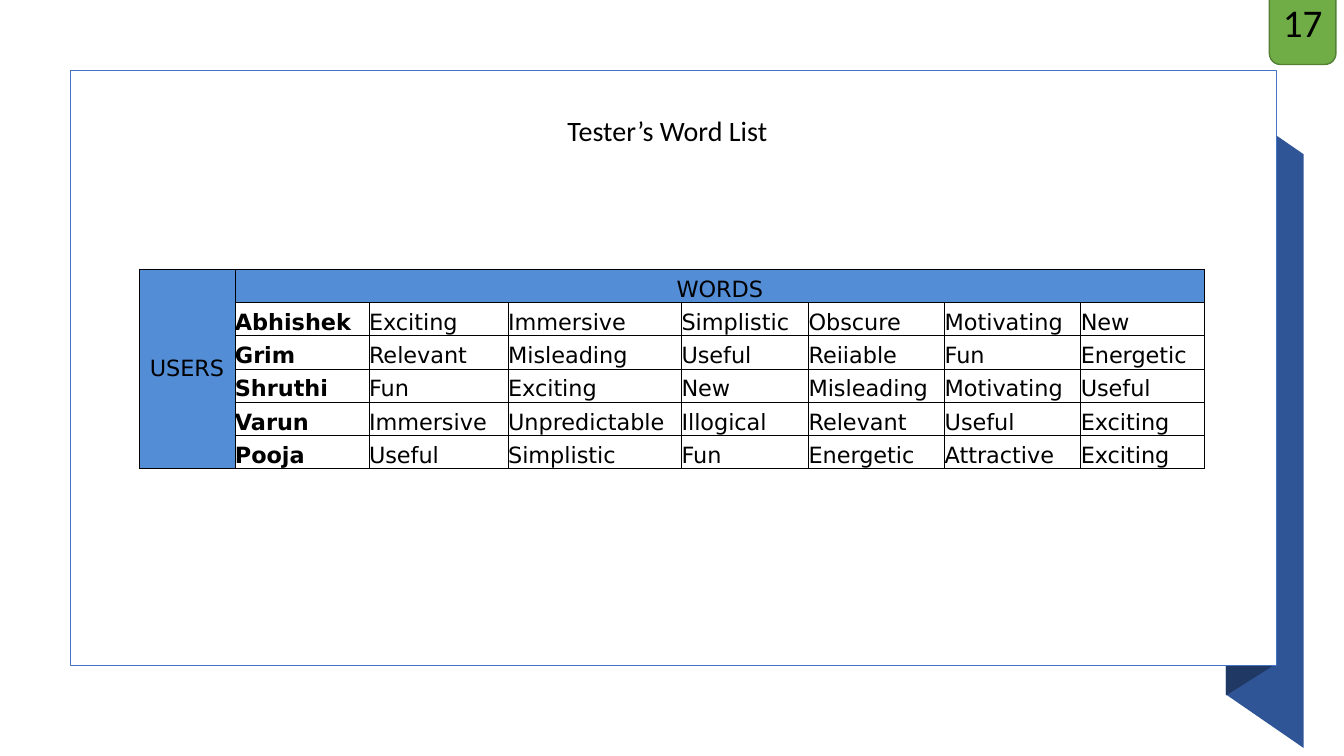
from lxml import etree
from pptx import Presentation
from pptx.dml.color import RGBColor
from pptx.enum.shapes import MSO_SHAPE
from pptx.enum.text import MSO_ANCHOR, PP_ALIGN
from pptx.oxml.ns import qn
from pptx.util import Emu, Pt

RECTANGLE = MSO_SHAPE.RECTANGLE
ROUNDED = MSO_SHAPE.ROUNDED_RECTANGLE
MIDDLE, BOTTOM = MSO_ANCHOR.MIDDLE, MSO_ANCHOR.BOTTOM
LEFT, CENTER = PP_ALIGN.LEFT, PP_ALIGN.CENTER

BLACK = RGBColor(0x00, 0x00, 0x00)
WHITE = RGBColor(0xFF, 0xFF, 0xFF)
RIBBON_BLUE = RGBColor(0x2F, 0x55, 0x97)
FOLD_NAVY = RGBColor(0x20, 0x38, 0x64)
FRAME_BLUE = RGBColor(0x44, 0x72, 0xC4)
HEADER_BLUE = RGBColor(0x53, 0x8D, 0xD5)
BADGE_GREEN = RGBColor(0x70, 0xAD, 0x47)
BADGE_EDGE = RGBColor(0x53, 0x80, 0x35)

PX = 9144  # 100 px to the inch
COLUMN_WIDTHS = [95, 133, 138, 172, 126, 135, 135, 123]
ROW_HEIGHT = 33
TESTERS = [
    ["Abhishek", "Exciting", "Immersive", "Simplistic", "Obscure", "Motivating", "New"],
    ["Grim", "Relevant", "Misleading", "Useful", "Reiiable", "Fun", "Energetic"],
    ["Shruthi", "Fun", "Exciting", "New", "Misleading", "Motivating", "Useful"],
    ["Varun", "Immersive", "Unpredictable", "Illogical", "Relevant", "Useful", "Exciting"],
    ["Pooja", "Useful", "Simplistic", "Fun", "Energetic", "Attractive", "Exciting"],
]


def px(*lengths):
    return [Emu(length * PX) for length in lengths]


class WordListPage:
    body_font = "Calibri"
    table_font = "DejaVu Sans"
    table_size = 16

    def __init__(self, deck):
        self.page = deck.slides.add_slide(deck.slide_layouts[6])
        self.shapes = self.page.shapes

    def paint(self, shape, fill, line=None):
        shape.shadow.inherit = False
        shape.fill.solid()
        shape.fill.fore_color.rgb = fill
        if line is None:
            shape.line.fill.background()
        else:
            shape.line.color.rgb = line
            shape.line.width = Pt(1)

    def polygon(self, points, fill):
        builder = self.shapes.build_freeform(*points[0], scale=PX)
        builder.add_line_segments(points[1:], close=True)
        self.paint(builder.convert_to_shape(), fill)

    def block(self, kind, bounds, fill, line):
        self.paint(self.shapes.add_shape(kind, *px(*bounds)), fill, line)

    def set_text(self, para, text, size, font, align=LEFT, bold=False):
        para.text = text
        para.alignment = align
        for span in para.runs:
            span.font.size = Pt(size)
            span.font.name = font
            span.font.bold = bold
            span.font.color.rgb = BLACK

    def label(self, bounds, text, size, align=LEFT, wrap=True):
        frame = self.shapes.add_textbox(*px(*bounds)).text_frame
        frame.word_wrap = wrap
        self.set_text(frame.paragraphs[0], text, size, self.body_font, align)

    def outline(self, cell):
        """Draw thin black borders on the four sides of a cell."""
        properties = cell._tc.get_or_add_tcPr()
        for side in ("a:lnL", "a:lnR", "a:lnT", "a:lnB"):
            border = etree.SubElement(properties, qn(side), w=str(Pt(0.5)))
            fill = etree.SubElement(border, qn("a:solidFill"))
            etree.SubElement(fill, qn("a:srgbClr"), val=str(BLACK))

    def fill_header(self, cell, text, anchor):
        cell.fill.solid()
        cell.fill.fore_color.rgb = HEADER_BLUE
        cell.vertical_anchor = anchor
        self.set_text(cell.text_frame.paragraphs[0], text, self.table_size, self.table_font, CENTER)

    def word_table(self, left, top, testers):
        rows, columns = len(testers) + 1, len(COLUMN_WIDTHS)
        bounds = px(left, top, sum(COLUMN_WIDTHS), rows * ROW_HEIGHT)
        table = self.shapes.add_table(rows, columns, *bounds).table
        table.first_row = table.horz_banding = False
        for column, width in zip(table.columns, COLUMN_WIDTHS):
            column.width = Emu(width * PX)
        for row in table.rows:
            row.height = Emu(ROW_HEIGHT * PX)
        for cell in table.iter_cells():
            cell.margin_left = cell.margin_right = cell.margin_top = cell.margin_bottom = 0
            cell.vertical_anchor = BOTTOM
            self.outline(cell)
            cell.fill.background()
        table.cell(0, 0).merge(table.cell(rows - 1, 0))
        table.cell(0, 1).merge(table.cell(0, columns - 1))
        self.fill_header(table.cell(0, 0), "USERS", MIDDLE)
        self.fill_header(table.cell(0, 1), "WORDS", BOTTOM)
        for row, entries in enumerate(testers, 1):
            for column, word in enumerate(entries, 1):
                para = table.cell(row, column).text_frame.paragraphs[0]
                self.set_text(para, word, self.table_size, self.table_font, bold=column == 1)


def main():
    deck = Presentation()
    deck.slide_width, deck.slide_height = px(1333, 750)
    page = WordListPage(deck)
    page.polygon([(1293, 742), (1216, 689), (1216, 100), (1293, 153)], RIBBON_BLUE)
    page.polygon([(1262, 661), (1216, 690), (1216, 100), (1262, 70)], FOLD_NAVY)
    page.block(RECTANGLE, (70, 70, 1196, 590), WHITE, FRAME_BLUE)
    page.word_table(138, 267, TESTERS)
    page.label((553, 108, 244, 44), "Tester’s Word List", 20)
    page.block(ROUNDED, (1259, -17, 66, 81), BADGE_GREEN, BADGE_EDGE)
    page.label((1262, -7, 60, 57), "17", 28, CENTER, wrap=False)
    deck.save("out.pptx")


if __name__ == "__main__":
    main()
